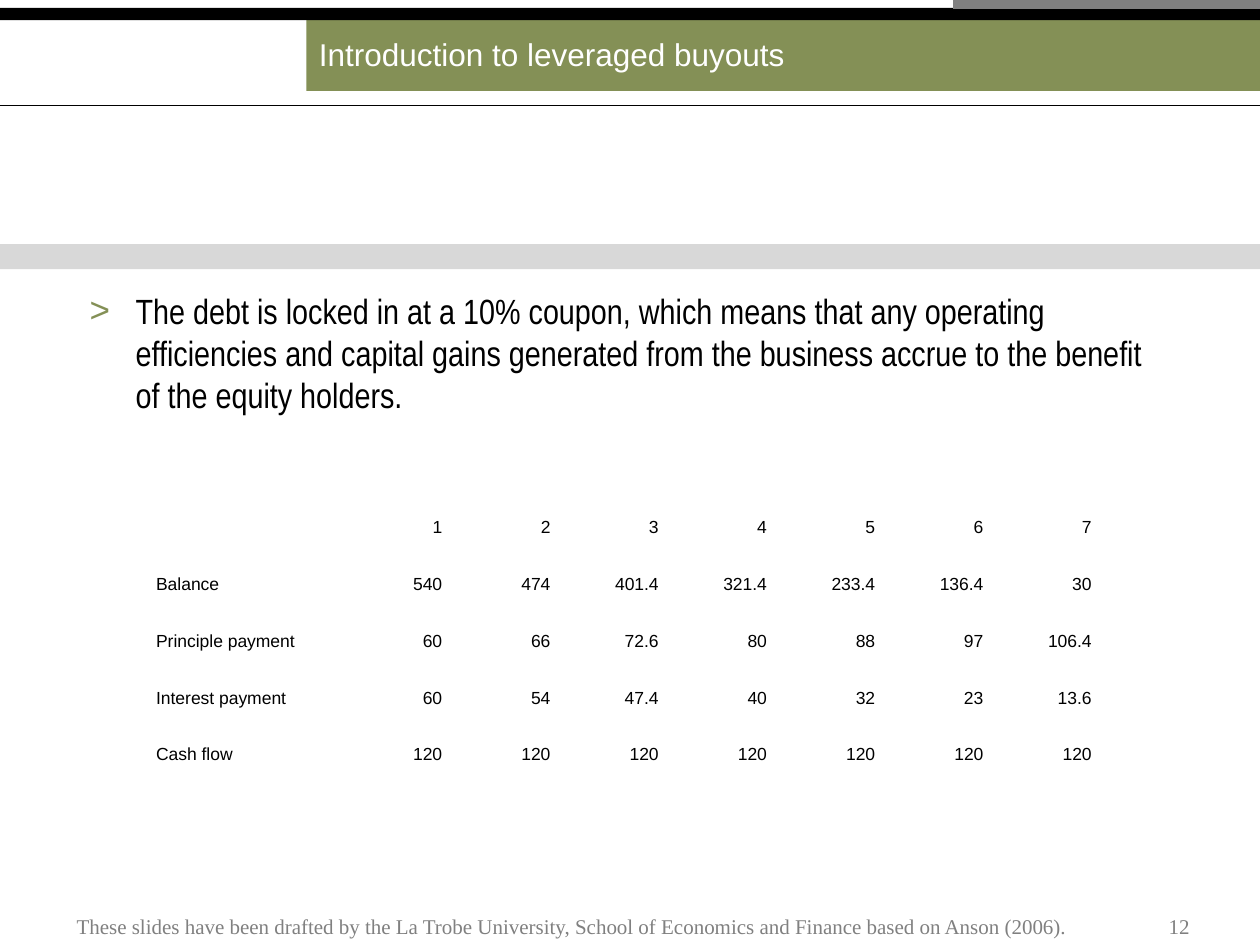
from lxml import etree
from pptx import Presentation
from pptx.dml.color import RGBColor
from pptx.enum.shapes import MSO_CONNECTOR, MSO_SHAPE
from pptx.enum.text import MSO_ANCHOR, MSO_AUTO_SIZE, PP_ALIGN
from pptx.oxml.ns import qn
from pptx.util import Pt

LEFT, RIGHT = PP_ALIGN.LEFT, PP_ALIGN.RIGHT
TOP, MIDDLE, BOTTOM = MSO_ANCHOR.TOP, MSO_ANCHOR.MIDDLE, MSO_ANCHOR.BOTTOM
NO_AUTOFIT = MSO_AUTO_SIZE.NONE
RECTANGLE = MSO_SHAPE.RECTANGLE
STRAIGHT = MSO_CONNECTOR.STRAIGHT

OLIVE, GREY, BLACK, WHITE = "849056", "808080", "000000", "FFFFFF"
SLIDE_WIDTH, SLIDE_HEIGHT = 720, 540

DEBT_POINT = (
    "The debt is locked in at a 10% coupon, which means that any operating "
    "efficiencies and capital gains generated from the business accrue to the "
    "benefit of the equity holders."
)
FOOTER = (
    "These slides have been drafted by the La Trobe University, School of "
    "Economics and Finance based on Anson (2006)."
)
DEBT_SCHEDULE = [
    ("", "1", "2", "3", "4", "5", "6", "7"),
    ("Balance", "540", "474", "401.4", "321.4", "233.4", "136.4", "30"),
    ("Principle payment", "60", "66", "72.6", "80", "88", "97", "106.4"),
    ("Interest payment", "60", "54", "47.4", "40", "32", "23", "13.6"),
    ("Cash flow",) + ("120",) * 7,
]


def color(hex_string):
    return RGBColor.from_string(hex_string)


def write(frame, text, size, font="Arial", ink=BLACK, align=LEFT, bullet=None):
    """Fill a text frame with one paragraph; bullet is (mark, colour, margin, hang)."""
    frame.text = text
    paragraph = frame.paragraphs[0]
    if bullet:
        mark, mark_ink, margin, hang = bullet
        properties = paragraph._p.get_or_add_pPr()
        properties.set("marL", str(Pt(margin)))
        properties.set("indent", str(-Pt(hang)))
        bullet_color = etree.SubElement(properties, qn("a:buClr"))
        etree.SubElement(bullet_color, qn("a:srgbClr"), val=mark_ink)
        etree.SubElement(properties, qn("a:buFont"), typeface="Arial")
        etree.SubElement(properties, qn("a:buChar"), char=mark)
    paragraph.alignment = align
    paragraph.font.size = Pt(size)
    paragraph.font.name = font
    paragraph.font.bold = False
    paragraph.font.color.rgb = color(ink)


def add_text(slide, box, text, anchor=TOP, **text_format):
    frame = slide.shapes.add_textbox(*map(Pt, box)).text_frame
    frame.word_wrap = True
    frame.auto_size = NO_AUTOFIT
    frame.vertical_anchor = anchor
    write(frame, text, **text_format)


def add_bar(slide, box, fill, opacity=100):
    bar = slide.shapes.add_shape(RECTANGLE, *map(Pt, box))
    bar.shadow.inherit = False
    bar.line.fill.background()
    bar.fill.solid()
    bar.fill.fore_color.rgb = color(fill)
    if opacity < 100:
        fill_color = bar._element.spPr.find(qn("a:solidFill"))[0]
        etree.SubElement(fill_color, qn("a:alpha"), val=str(opacity * 1000))


def add_rule(slide, left, right, y, ink, weight):
    rule = slide.shapes.add_connector(STRAIGHT, Pt(left), Pt(y), Pt(right), Pt(y))
    rule.line.color.rgb = color(ink)
    rule.line.width = Pt(weight)
    etree.SubElement(rule._element.spPr, qn("a:effectLst"))


def add_header(slide, left, top, width, height):
    """Place the title banner with the bar above it and the rule below it."""
    right = left + width
    banner_left = left + 175
    title = slide.shapes.title
    title.left, title.top = Pt(banner_left), Pt(top + 9.5)
    title.width, title.height = Pt(right - banner_left), Pt(42.5)
    title.fill.solid()
    title.fill.fore_color.rgb = color(OLIVE)
    title.text_frame.auto_size = NO_AUTOFIT
    title.text_frame.vertical_anchor = MIDDLE
    write(title.text_frame, "Introduction to leveraged buyouts", size=18, ink=WHITE)
    add_bar(slide, (left, top + 4.5, width, 7), BLACK)
    add_rule(slide, right - 175.5, right, top + 2.4, GREY, 5)
    add_rule(slide, left, right, top + height, BLACK, 0.75)


def add_schedule(slide, left, top, width, height):
    """Place the debt schedule: a label column and equal year columns."""
    label_width, header_height = 116, 52.4
    row_count, column_count = len(DEBT_SCHEDULE), len(DEBT_SCHEDULE[0])
    table = slide.shapes.add_table(
        row_count, column_count, Pt(left), Pt(top), Pt(width), Pt(height)
    ).table
    table.first_row = table.horz_banding = False
    year_width = (width - label_width) / (column_count - 1)
    row_height = (height - header_height) / (row_count - 1)
    for i, column in enumerate(table.columns):
        column.width = Pt(year_width if i else label_width)
    for i, row in enumerate(table.rows):
        row.height = Pt(row_height if i else header_height)
    for row, values in zip(table.rows, DEBT_SCHEDULE):
        for i, (cell, value) in enumerate(zip(row.cells, values)):
            cell.fill.background()
            cell.vertical_anchor = BOTTOM
            write(cell.text_frame, value, size=10, align=RIGHT if i else LEFT)


def add_footer(slide, left, top, width, height):
    """Place the credit at the left and the page number at the right."""
    number_width = 43.2
    style = {"size": 12, "font": "Times New Roman", "ink": GREY, "anchor": BOTTOM}
    add_text(slide, (left, top, 595.5, height), FOOTER, **style)
    number_box = (left + width - number_width, top, number_width, height)
    add_text(slide, number_box, "12", align=RIGHT, **style)


def main():
    deck = Presentation()
    deck.slide_width, deck.slide_height = Pt(SLIDE_WIDTH), Pt(SLIDE_HEIGHT)
    slide = deck.slides.add_slide(deck.slide_layouts[5])
    add_header(slide, 0, 0, SLIDE_WIDTH, 60.25)
    add_bar(slide, (0, 139.5, SLIDE_WIDTH, 14.25), GREY, opacity=30)
    add_text(slide, (36.7, 162, 629.3, 130.3), DEBT_POINT, size=20,
             font="Arial Narrow", bullet=(">", OLIVE, 33.75, 26.25))
    add_schedule(slide, 82, 258.5, 549, 182)
    add_footer(slide, 36.7, 508.3, 650.2, 31.7)
    deck.save("out.pptx")


if __name__ == "__main__":
    main()
